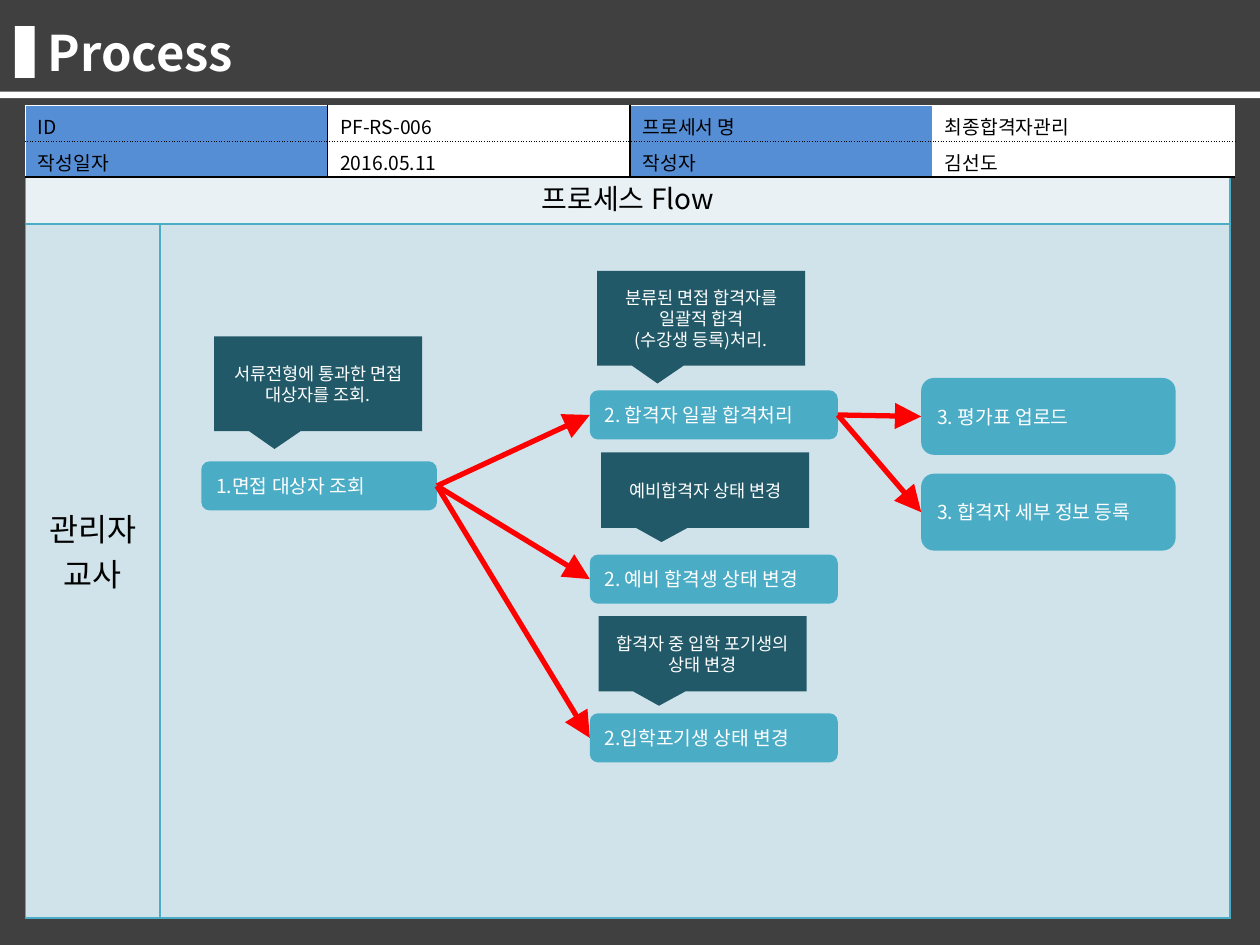
from lxml import etree
from pptx import Presentation
from pptx.dml.color import RGBColor
from pptx.enum.shapes import MSO_CONNECTOR, MSO_SHAPE
from pptx.enum.text import MSO_ANCHOR, PP_ALIGN
from pptx.oxml.ns import qn
from pptx.util import Cm, Pt

RECT, ROUND = MSO_SHAPE.RECTANGLE, MSO_SHAPE.ROUNDED_RECTANGLE
CALLOUT = MSO_SHAPE.RECTANGULAR_CALLOUT
STRAIGHT = MSO_CONNECTOR.STRAIGHT
LEFT, CENTER = PP_ALIGN.LEFT, PP_ALIGN.CENTER
MIDDLE = MSO_ANCHOR.MIDDLE
LEFT_SIDE, RIGHT_SIDE = 1, 3

FONT = "Noto Sans CJK KR"
WHITE = RGBColor(0xFF, 0xFF, 0xFF)
BLACK = RGBColor(0, 0, 0)
DARK = RGBColor(0x40, 0x40, 0x40)
BLUE = RGBColor(0x55, 0x8E, 0xD5)
TEAL = RGBColor(0x4B, 0xAC, 0xC6)
DEEP_TEAL = RGBColor(0x21, 0x59, 0x68)
PALE = RGBColor(0xE9, 0xF1, 0xF5)
MIST = RGBColor(0xD0, 0xE3, 0xEA)
RED = RGBColor(0xFF, 0, 0)

INFO = [
    ["ID", "PF-RS-006", "프로세서 명", "최종합격자관리"],
    ["작성일자", "2016.05.11", "작성자", "김선도"],
]

# name: (text, x, y, width, height) in cm from the flow's corner
STEPS = {
    "search": ("1.면접 대상자 조회", 3.55, 5.85, 4.75, 0.99),
    "pass": ("2. 합격자 일괄 합격처리", 11.38, 4.42, 5, 0.99),
    "reserve": ("2. 예비 합격생 상태 변경", 11.38, 7.73, 5, 0.99),
    "withdraw": ("2.입학포기생 상태 변경", 11.38, 10.93, 5, 0.99),
    "upload": ("3. 평가표 업로드", 18.06, 4.17, 5.13, 1.55),
    "details": ("3. 합격자 세부 정보 등록", 18.06, 6.1, 5.13, 1.55),
}
ARROWS = [
    ("search", "pass"), ("search", "reserve"), ("search", "withdraw"),
    ("pass", "upload"), ("pass", "details"),
]
# (paragraphs, x, y, height) in cm from the flow's corner
NOTES = [
    (["서류전형에 통과한 면접 대상자를 조회."], 3.81, 3.33, 1.91),
    (["분류된 면접 합격자를 일괄적 합격", "(수강생 등록)처리."], 11.53, 2.01, 1.91),
    (["예비합격자 상태 변경"], 11.61, 5.67, 1.52),
    (["합격자 중 입학 포기생의 상태 변경"], 11.56, 8.97, 1.52),
]


def write(tf, lines, size, color, align=LEFT, bold=False):
    for i, line in enumerate(lines):
        p = tf.add_paragraph() if i else tf.paragraphs[0]
        p.alignment = align
        r = p.add_run()
        r.text = line
        r.font.size, r.font.bold, r.font.name = Pt(size), bold, FONT
        r.font.color.rgb = color
        ea = etree.SubElement(r.font._element, qn("a:ea"))
        ea.set("typeface", FONT)


def add_box(slide, kind, x, y, w, h, fill):
    sp = slide.shapes.add_shape(kind, Cm(x), Cm(y), Cm(w), Cm(h))
    sp.shadow.inherit = False
    sp.fill.solid()
    sp.fill.fore_color.rgb = fill
    sp.line.fill.background()
    sp.text_frame.word_wrap = True
    sp.text_frame.vertical_anchor = MIDDLE
    return sp


def style_cell(cell, fill, borders):
    """Fill a cell and draw its borders, given as (color, dash) for L, R, T, B."""
    tcPr = cell._tc.get_or_add_tcPr()
    for side, (color, dash) in zip("LRTB", borders):
        ln = etree.SubElement(tcPr, qn("a:ln" + side), w=str(Pt(1)))
        solid = etree.SubElement(ln, qn("a:solidFill"))
        etree.SubElement(solid, qn("a:srgbClr"), val=str(color))
        etree.SubElement(ln, qn("a:prstDash"), val=dash)
    cell.fill.solid()
    cell.fill.fore_color.rgb = fill


def add_table(slide, x, y, widths, heights):
    table = slide.shapes.add_table(
        len(heights), len(widths), Cm(x), Cm(y), Cm(sum(widths)), Cm(sum(heights))
    ).table
    table.first_row = table.horz_banding = False
    for col, w in zip(table.columns, widths):
        col.width = Cm(w)
    for row, h in zip(table.rows, heights):
        row.height = Cm(h)
    return table


def add_heading(slide, x, y, w, h):
    title = slide.shapes.title
    title.left, title.top, title.width, title.height = Cm(x), Cm(y), Cm(w), Cm(h)
    title.text_frame.vertical_anchor = MIDDLE
    write(title.text_frame, ["Process"], 28, WHITE, bold=True)
    add_box(slide, RECT, x - 0.41, y + 0.2, 0.4, 1.04, WHITE)
    add_box(slide, RECT, 0, y + 1.52, 25.4, 0.13, WHITE)


def add_info_table(slide, x, y, w, h):
    table = add_table(slide, x, y, [w / 4] * 4, [h / 2] * 2)
    verticals = [(c, "solid") for c in (WHITE, BLACK, BLACK, WHITE, WHITE)]
    horizontals = [(WHITE, "solid"), (BLACK, "sysDot"), (BLACK, "solid")]
    for i, row in enumerate(INFO):
        for j, text in enumerate(row):
            cell = table.cell(i, j)
            cell.margin_bottom = 0
            write(cell.text_frame, [text], 11, BLACK)
            style_cell(cell, WHITE if j % 2 else BLUE,
                       verticals[j:j + 2] + horizontals[i:i + 2])


def add_flow_table(slide, x, y, w, h):
    role_w, head_h = 2.72, 1.07
    table = add_table(slide, x, y, [role_w, w - role_w], [head_h, h - head_h])
    for i, fill in enumerate((PALE, MIST)):
        for j in range(2):
            style_cell(table.cell(i, j), fill, [(TEAL, "solid")] * 4)
    head, role = table.cell(0, 0), table.cell(1, 0)
    head.merge(table.cell(0, 1))
    write(head.text_frame, ["프로세스 Flow"], 16, BLACK, CENTER)
    role.margin_top = Cm(5.65)
    write(role.text_frame, ["관리자", "교사"], 18, BLACK, CENTER)


def add_arrow(slide, start, end):
    line = slide.shapes.add_connector(STRAIGHT, 0, 0, 0, 0)
    line.begin_connect(start, RIGHT_SIDE)
    line.end_connect(end, LEFT_SIDE)
    line.line.color.rgb = RED
    line.line.width = Pt(3)
    etree.SubElement(line.line._get_or_add_ln(), qn("a:tailEnd"),
                     type="triangle", w="lg", len="lg")
    etree.SubElement(line._element.spPr, qn("a:effectLst"))


def add_flow(slide, x, y):
    steps = {}
    for name, (text, dx, dy, w, h) in STEPS.items():
        steps[name] = add_box(slide, ROUND, x + dx, y + dy, w, h, TEAL)
        write(steps[name].text_frame, [text], 11, WHITE)
    for start, end in ARROWS:
        add_arrow(slide, steps[start], steps[end])
    for lines, dx, dy, h in NOTES:
        note = add_box(slide, CALLOUT, x + dx, y + dy, 4.19, h, DEEP_TEAL)
        note.adjustments[0], note.adjustments[1] = -0.21, 0.69
        write(note.text_frame, lines, 10, WHITE, CENTER)


def main():
    prs = Presentation()
    prs.slide_width, prs.slide_height = Cm(25.4), Cm(19.05)
    slide = prs.slides.add_slide(prs.slide_layouts[5])
    slide.background.fill.solid()
    slide.background.fill.fore_color.rgb = DARK
    add_heading(slide, 0.71, 0.33, 22.81, 1.45)
    add_flow_table(slide, 0.51, 3.45, 24.29, 15.06)
    add_info_table(slide, 0.51, 2.13, 24.38, 1.44)
    add_flow(slide, 0.51, 3.45)
    prs.save("out.pptx")


if __name__ == "__main__":
    main()
